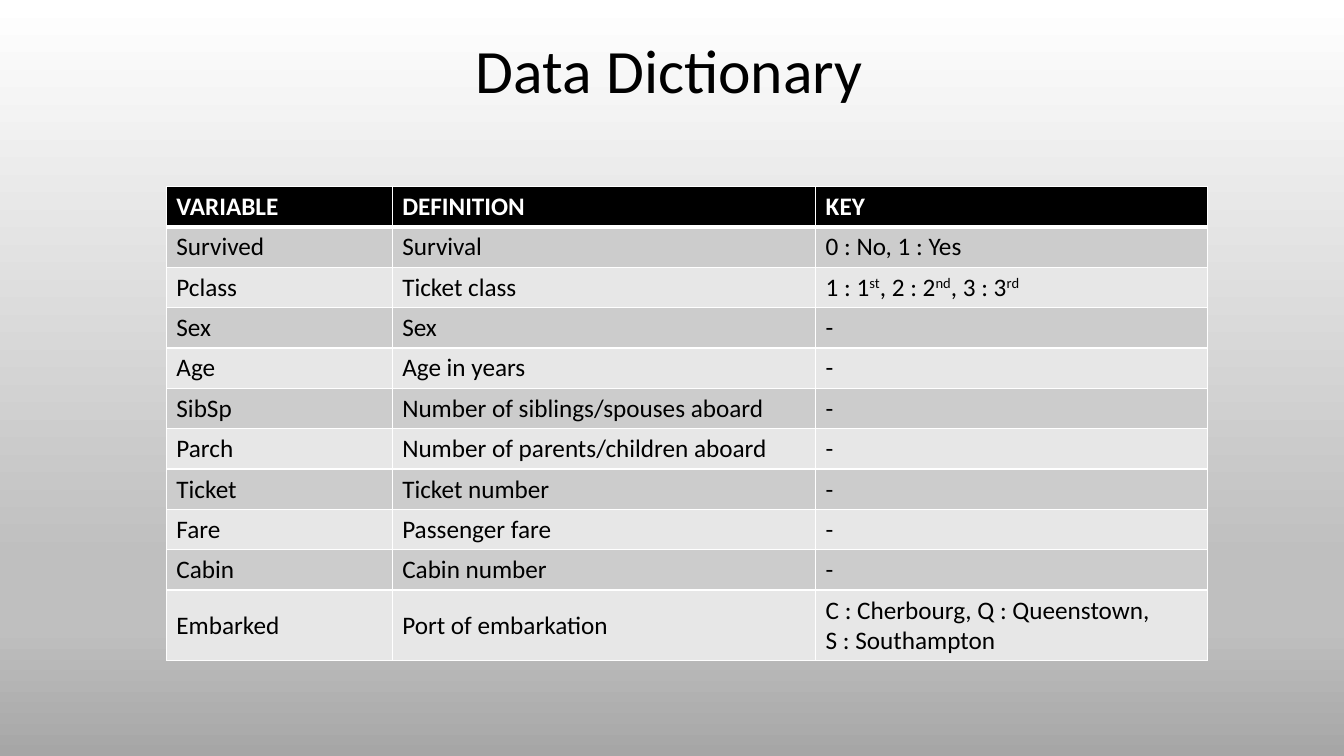
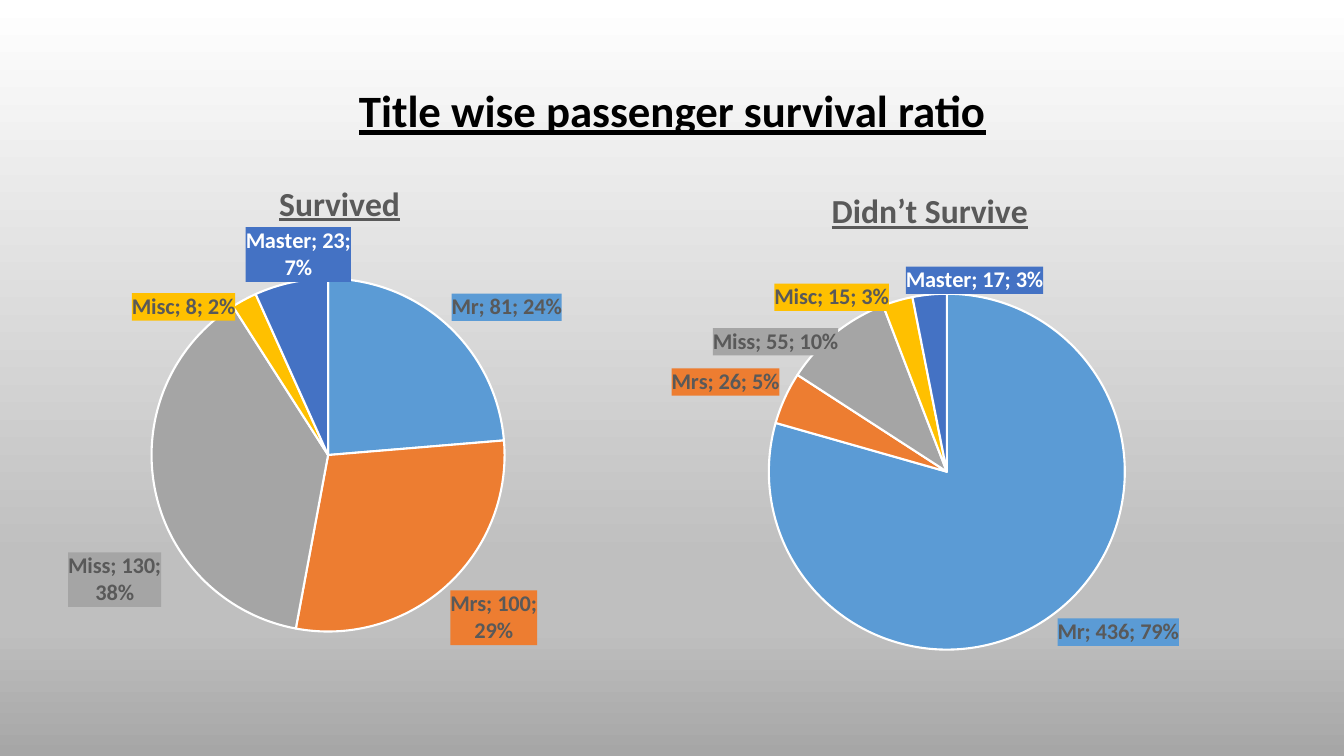
"""Build a data dictionary slide and a survival ratio slide."""
from copy import deepcopy

from lxml.etree import Element, SubElement
from pptx import Presentation
from pptx.chart.data import CategoryChartData
from pptx.dml.color import RGBColor
from pptx.enum.chart import XL_CHART_TYPE, XL_LABEL_POSITION
from pptx.enum.text import MSO_ANCHOR, PP_ALIGN
from pptx.oxml.ns import qn
from pptx.util import Inches, Pt

PIE = XL_CHART_TYPE.PIE
OUTER = XL_LABEL_POSITION.OUTSIDE_END
MIDDLE = MSO_ANCHOR.MIDDLE
CENTER = PP_ALIGN.CENTER
FACE = "Calibri"
BLACK = RGBColor(0, 0, 0)
WHITE = RGBColor(255, 255, 255)
DARK = RGBColor(0x59, 0x59, 0x59)
SILVER = RGBColor(0xBF, 0xBF, 0xBF)
STEEL = RGBColor(0xA6, 0xA6, 0xA6)
BANDS = RGBColor(0xE7, 0xE7, 0xE7), RGBColor(0xCC, 0xCC, 0xCC)
HUES = [RGBColor.from_string(hue) for hue in
        ("5B9BD5", "ED7D31", "A5A5A5", "FFC000", "4472C4")]

deck = Presentation()
deck.slide_width = Inches(13.33)
deck.slide_height = Inches(7.5)

back = deck.slide_master.background.fill
back.gradient()
back.gradient_angle = 270
stops = next(deck.slide_master.element.iter(qn("a:gsLst")))
for _ in range(2):
    stops.append(deepcopy(stops[0]))
shades = [(0, WHITE), (0.74, SILVER), (0.83, SILVER), (1, STEEL)]
for stop, (spot, shade) in zip(back.gradient_stops, shades):
    stop.position = spot
    stop.color.rgb = shade


def start(text, left, top, size, strong):
    """Add a slide with a centred title."""
    slide = deck.slides.add_slide(deck.slide_layouts[6])
    box = slide.shapes.add_textbox(
        Inches(left), Inches(top), Inches(11.5), Inches(1.45))
    frame = box.text_frame
    frame.word_wrap = True
    frame.vertical_anchor = MIDDLE
    para = frame.paragraphs[0]
    para.text = text
    para.alignment = CENTER
    para.line_spacing = 0.9
    font = para.font
    font.name, font.size, font.color.rgb = FACE, Pt(size), BLACK
    font.bold = font.underline = strong
    return slide


def place(node, slot, **marks):
    """Give a chart part a manual layout."""
    old = node.find(qn("c:layout"))
    if old is not None:
        node.remove(old)
    layout = Element(qn("c:layout"))
    node.insert(slot, layout)
    manual = SubElement(layout, qn("c:manualLayout"))
    for name, value in marks.items():
        SubElement(manual, qn("c:" + name)).set("val", str(value))


slide = start("Data Dictionary", 0.89, 0, 44, False)
rows = [
    ("VARIABLE", "DEFINITION", "KEY"),
    ("Survived", "Survival", "0 : No, 1 : Yes"),
    ("Pclass", "Ticket class", "1 : 1^st^, 2 : 2^nd^, 3 : 3^rd"),
    ("Sex", "Sex", "-"),
    ("Age", "Age in years", "-"),
    ("SibSp", "Number of siblings/spouses aboard", "-"),
    ("Parch", "Number of parents/children aboard", "-"),
    ("Ticket", "Ticket number", "-"),
    ("Fare", "Passenger fare", "-"),
    ("Cabin", "Cabin number", "-"),
    ("Embarked", "Port of embarkation",
     "C : Cherbourg, Q : Queenstown,\nS : Southampton"),
]
table = slide.shapes.add_table(
    len(rows), 3, Inches(1.65), Inches(1.85),
    Inches(10.33), Inches(0.4 * len(rows))).table
for col, width in zip(table.columns, (2.24, 4.2, 3.89)):
    col.width = Inches(width)
for i, row in enumerate(rows):
    head = i == 0
    for j, text in enumerate(row):
        cell = table.cell(i, j)
        cell.fill.solid()
        cell.fill.fore_color.rgb = BLACK if head else BANDS[i % 2]
        if i == len(rows) - 1 and j < 2:
            cell.vertical_anchor = MIDDLE
        frame = cell.text_frame
        for n, line in enumerate(text.split("\n")):
            para = frame.add_paragraph() if n else frame.paragraphs[0]
            font = para.font
            font.name, font.size, font.bold = FACE, Pt(18), head
            font.color.rgb = WHITE if head else BLACK
            for k, part in enumerate(line.split("^")):
                run = para.add_run()
                run.text = part
                if k % 2:
                    run._r.get_or_add_rPr().set("baseline", "30000")
        props = cell._tc.get_or_add_tcPr()
        for k, side in enumerate("LRTB"):
            thick = (i, side) in ((0, "B"), (1, "T"))
            edge = Element(qn("a:ln" + side), w=str(Pt(3 if thick else 1)))
            paint = SubElement(edge, qn("a:solidFill"))
            SubElement(paint, qn("a:srgbClr")).set("val", str(WHITE))
            props.insert(k, edge)

slide = start("Title wise passenger survival ratio", 0.92, 0.4, 32, True)
names = ["Mr", "Mrs", "Miss", "Misc", "Master"]
pies = [
    ("Survived", (0.35, 1.58, 6.05, 5.15), 0.39,
     (0.19, 0.23, 0.58, 0.68), (81, 100, 130, 8, 23),
     {2: (0.02, 0.12), 3: (-0.01, 0.05), 4: (0.1, 0.01)}),
    ("Didn’t Survive", (5.71, 1.65, 7.08, 5.27), 0.35,
     (0.27, 0.24, 0.5, 0.67), (436, 26, 55, 15, 17),
     {2: (0.01, 0.05), 3: (-0.01, 0.03), 4: (0.16, 0.01)}),
]
for text, area, inset, plot, counts, shifts in pies:
    data = CategoryChartData()
    data.categories = names
    data.add_series("Series 1", counts)
    chart = slide.shapes.add_chart(PIE, *map(Inches, area), data).chart
    chart.has_legend = False
    chart.font.name, chart.font.size = FACE, Pt(10)
    chart.font.color.rgb = BLACK
    chart.has_title = True
    para = chart.chart_title.text_frame.paragraphs[0]
    para.text = text
    font = para.font
    font.name, font.size, font.color.rgb = FACE, Pt(24), DARK
    font.bold = font.underline = True
    root = chart.element
    place(next(root.iter(qn("c:title"))), 1,
          xMode="edge", yMode="edge", x=inset, y=0.03)
    x, y, w, h = plot
    place(next(root.iter(qn("c:plotArea"))), 0, layoutTarget="inner",
          xMode="edge", yMode="edge", x=x, y=y, w=w, h=h)
    chart.plots[0].vary_by_categories = True
    for i, hue in enumerate(HUES):
        point = chart.plots[0].series[0].points[i]
        point.format.fill.solid()
        point.format.fill.fore_color.rgb = hue
        point.format.line.color.rgb = WHITE
        point.format.line.width = Pt(1.5)
        label = point.data_label
        font = label.font
        font.name, font.size, font.bold = FACE, Pt(16), True
        font.color.rgb = WHITE if names[i] == "Master" else DARK
        label.position = OUTER
    for i, label in enumerate(root.iter(qn("c:dLbl"))):
        for flag in ("c:showVal", "c:showCatName", "c:showPercent"):
            label.find(qn(flag)).set("val", "1")
        SubElement(label, qn("c:separator")).text = "; "
        shape = Element(qn("c:spPr"))
        paint = SubElement(shape, qn("a:solidFill"))
        SubElement(paint, qn("a:srgbClr")).set("val", str(HUES[i]))
        label.find(qn("c:txPr")).addprevious(shape)
        if i in shifts:
            x, y = shifts[i]
            place(label, 1, x=x, y=y)
    for lead in root.iter(qn("c:showLeaderLines")):
        lead.set("val", "0")

deck.save("out.pptx")
